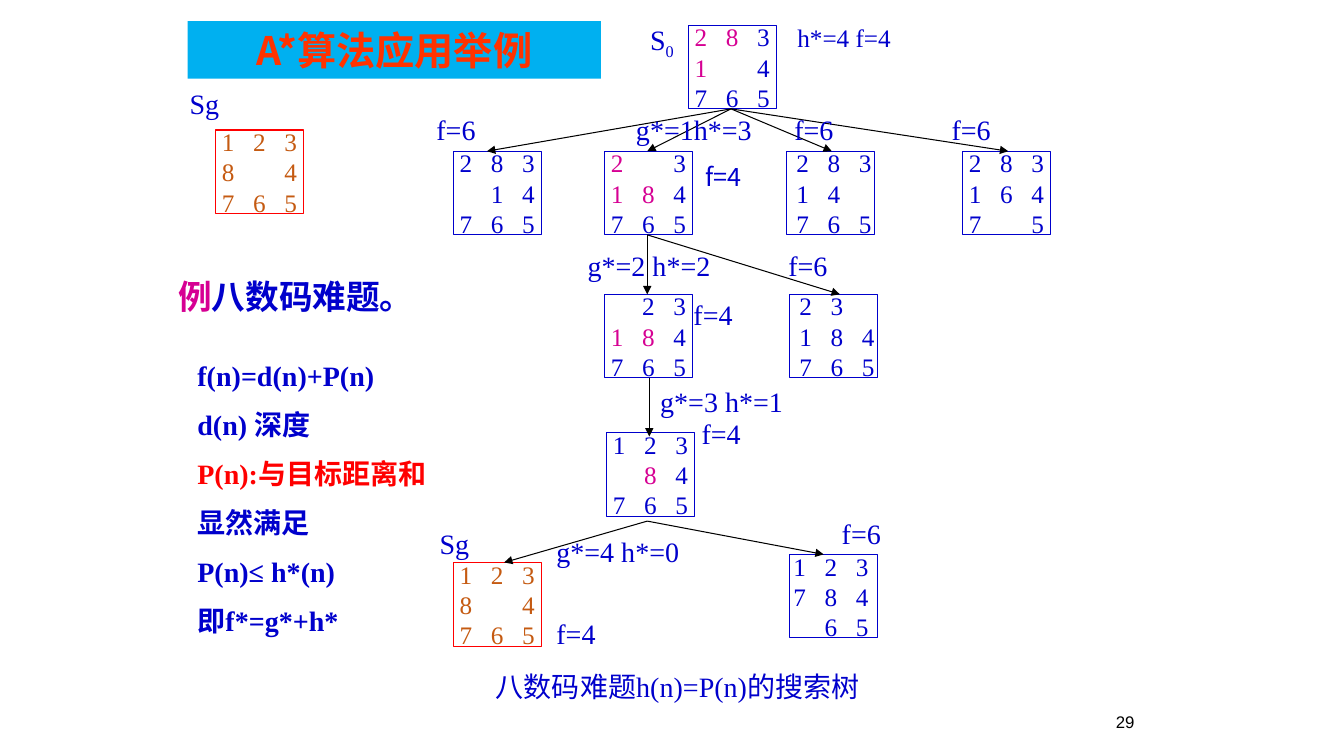
from lxml import etree
from pptx import Presentation
from pptx.dml.color import RGBColor
from pptx.enum.shapes import MSO_CONNECTOR, MSO_SHAPE
from pptx.enum.text import MSO_ANCHOR, PP_ALIGN
from pptx.oxml.ns import qn
from pptx.util import Inches, Pt

BLUE = RGBColor(0x00, 0x00, 0xCC)
PINK = RGBColor(0xD6, 0x00, 0x93)
RED = RGBColor(0xFF, 0x00, 0x00)
BROWN = RGBColor(0xC5, 0x5A, 0x11)
BLACK = RGBColor(0x00, 0x00, 0x00)
CYAN = RGBColor(0x00, 0xB0, 0xF0)
ORANGE = RGBColor(0xFF, 0x33, 0x00)

SERIF = "Times New Roman"
SANS = "Arial"
CJK = "Noto Sans CJK SC"

RECTANGLE = MSO_SHAPE.RECTANGLE
STRAIGHT = MSO_CONNECTOR.STRAIGHT
MIDDLE = MSO_ANCHOR.MIDDLE
LEFT, CENTER, RIGHT = PP_ALIGN.LEFT, PP_ALIGN.CENTER, PP_ALIGN.RIGHT

BOARD_W, BOARD_H = 0.87, 0.83
TILE_PITCH = 0.31
GOAL = "123 8.4 765"


def style(paragraph, size, color, font=SERIF, bold=False, align=LEFT, stops=()):
    paragraph.alignment = align
    properties = paragraph._p.get_or_add_pPr()
    if stops:
        tabs = etree.SubElement(properties, qn("a:tabLst"))
        for stop in stops:
            etree.SubElement(tabs, qn("a:tab"), pos=str(Inches(stop)), algn="l")
    paragraph.font.size = Pt(size)
    paragraph.font.bold = bold
    paragraph.font.name = font
    paragraph.font.color.rgb = color
    defaults = properties.find(qn("a:defRPr"))
    latin = defaults.find(qn("a:latin"))
    latin.addnext(etree.Element(qn("a:ea"), typeface=CJK))


def set_insets(frame, side, top):
    frame.margin_left = frame.margin_right = Inches(side)
    frame.margin_top = frame.margin_bottom = Inches(top)


def add_label(slide, box, lines, size=20, color=BLUE, gap=11, spacing=None,
              insets=(0.1, 0.05), **look):
    frame = slide.shapes.add_textbox(*map(Inches, box)).text_frame
    frame.word_wrap = True
    set_insets(frame, *insets)
    for index, line in enumerate(lines):
        paragraph = frame.paragraphs[0] if index == 0 else frame.add_paragraph()
        paragraph.add_run().text = line
        if index:
            paragraph.space_before = Pt(gap)
        if spacing:
            paragraph.line_spacing = spacing
        style(paragraph, size, color, **look)
    return frame


def add_board(slide, left, top, state, marked="", color=BLUE, outline=BLUE, inset=0.06):
    board = slide.shapes.add_shape(
        RECTANGLE, *map(Inches, (left, top, BOARD_W, BOARD_H)))
    board.shadow.inherit = False
    board.fill.background()
    board.line.color.rgb = outline
    board.line.width = Pt(0.75)
    frame = board.text_frame
    frame.vertical_anchor = MIDDLE
    frame.word_wrap = True
    set_insets(frame, inset, 0.05)
    frame.margin_right = 0
    for index, row in enumerate(state.split()):
        paragraph = frame.paragraphs[0] if index == 0 else frame.add_paragraph()
        tiles = row.rstrip(".")
        style(paragraph, 18, color, stops=(TILE_PITCH, 2 * TILE_PITCH))
        for column, tile in enumerate(tiles):
            run = paragraph.add_run()
            run.text = ("\t" if column else "") + tile.replace(".", "")
            if tile in marked:
                run.font.color.rgb = PINK


def add_arrow(slide, start, end):
    arrow = slide.shapes.add_connector(STRAIGHT, *map(Inches, start + end))
    arrow.line.color.rgb = BLACK
    arrow.line.width = Pt(0.75)
    etree.SubElement(arrow.line._get_or_add_ln(), qn("a:tailEnd"), type="triangle")
    etree.SubElement(arrow._element.spPr, qn("a:effectLst"))


def add_title(slide, left, top, width, height):
    title = slide.shapes.title
    title.left, title.top, title.width, title.height = map(
        Inches, (left, top, width, height))
    title.fill.solid()
    title.fill.fore_color.rgb = CYAN
    title.text_frame.text = "A*算法应用举例"
    title.text_frame.vertical_anchor = MIDDLE
    style(title.text_frame.paragraphs[0], 28, ORANGE, CJK, True, CENTER)


def add_goal(slide, left, top, board_dx, board_dy):
    add_label(slide, (left, top, 0.42, 0.36), ["Sg"], insets=(0.02, 0.01))
    add_board(slide, left + board_dx, top + board_dy, GOAL, color=BROWN, outline=RED)


def add_notes(slide, left, top):
    heading = add_label(slide, (left, top, 3.31, 0.5), ["例"], 24, font=CJK, bold=True)
    example = heading.paragraphs[0]
    example.runs[0].font.color.rgb = PINK
    example.add_run().text = "八数码难题。"
    formulas = add_label(
        slide, (left + 0.19, top + 0.82, 2.53, 2.96),
        ["f(n)=d(n)+P(n)", "d(n) 深度", "P(n):与目标距离和", "显然满足",
         "P(n)≤ h*(n)", "即f*=g*+h*"], bold=True)
    formulas.paragraphs[2].font.color.rgb = RED


def add_search_tree(slide, left, top):
    boards = [
        (2.33, 0, "283 1.4 765", "281", 0.06),
        (0, 1.25, "283 .14 765", "", 0.06),
        (1.5, 1.25, "2.3 184 765", "218", 0.06),
        (3.3, 1.25, "283 14. 765", "", 0.1),
        (5.05, 1.25, "283 164 7.5", "", 0.06),
        (1.5, 2.67, ".23 184 765", "18", 0.06),
        (3.33, 2.67, "23. 184 765", "", 0.1),
        (1.52, 4.04, "123 .84 765", "8", 0.06),
        (3.33, 5.25, "123 784 .65", "", 0.04),
    ]
    for dx, dy, state, marked, inset in boards:
        add_board(slide, left + dx, top + dy, state, marked, inset=inset)
    add_goal(slide, left - 0.16, top + 4.96, 0.16, 0.37)

    branches = [
        ((2.75, 0.83), [(0.33, 1.25), (1.92, 1.25), (3.75, 1.25), (5.5, 1.25)]),
        ((1.92, 2.08), [(1.92, 2.67), (3.83, 2.67)]),
        ((1.94, 3.5), [(1.94, 4.08)]),
        ((1.92, 4.92), [(0.5, 5.33), (3.67, 5.25)]),
    ]
    for (x, y), children in branches:
        for child_x, child_y in children:
            add_arrow(slide, (left + x, top + y), (left + child_x, top + child_y))

    labels = [
        (3.31, -0.08, 1.61, 0.4, ["h*=4 f=4"], {"size": 18}),
        (-0.27, 0.82, 6.06, 0.43, ["f=6\tg*=1h*=3\tf=6\tf=6"],
         {"stops": (1.98, 3.55, 5.11)}),
        (2.4, 1.3, 0.63, 0.4, ["f=4"], {"size": 18, "font": CJK}),
        (1.23, 2.17, 3.77, 0.93, ["g*=2 h*=2\tf=6", "\tf=4"],
         {"stops": (1.05, 1.99)}),
        (1.95, 3.66, 1.47, 0.6, ["g*=3 h*=1", "\tf=4"],
         {"stops": (0.41,), "spacing": 0.5}),
        (0.92, 5, 1.84, 0.93, ["g*=4 h*=0", "f=4"], {"gap": 35}),
        (3.75, 4.83, 0.7, 0.43, ["f=6"], {}),
        (0.32, 6.34, 3.89, 0.43, ["八数码难题h(n)=P(n)的搜索树"], {}),
    ]
    for dx, dy, width, height, lines, look in labels:
        add_label(slide, (left + dx, top + dy, width, height), lines, **look)

    root = add_label(slide, (left + 1.85, top - 0.08, 0.47, 0.43), ["S"])
    subscript = root.paragraphs[0].add_run()
    subscript.text = "0"
    subscript._r.get_or_add_rPr().set("baseline", "-25000")


def main():
    deck = Presentation()
    deck.slide_width, deck.slide_height = Inches(13.33), Inches(7.5)
    slide = deck.slides.add_slide(deck.slide_layouts[5])
    add_title(slide, 1.86, 0.21, 4.1, 0.57)
    add_goal(slide, 1.86, 0.85, 0.28, 0.44)
    add_notes(slide, 1.67, 2.69)
    add_search_tree(slide, 4.5, 0.25)
    add_label(slide, (10.25, 7.01, 1.1, 0.24), ["29"], 12, BLACK, font=SANS, align=RIGHT)
    deck.save("out.pptx")


if __name__ == "__main__":
    main()
